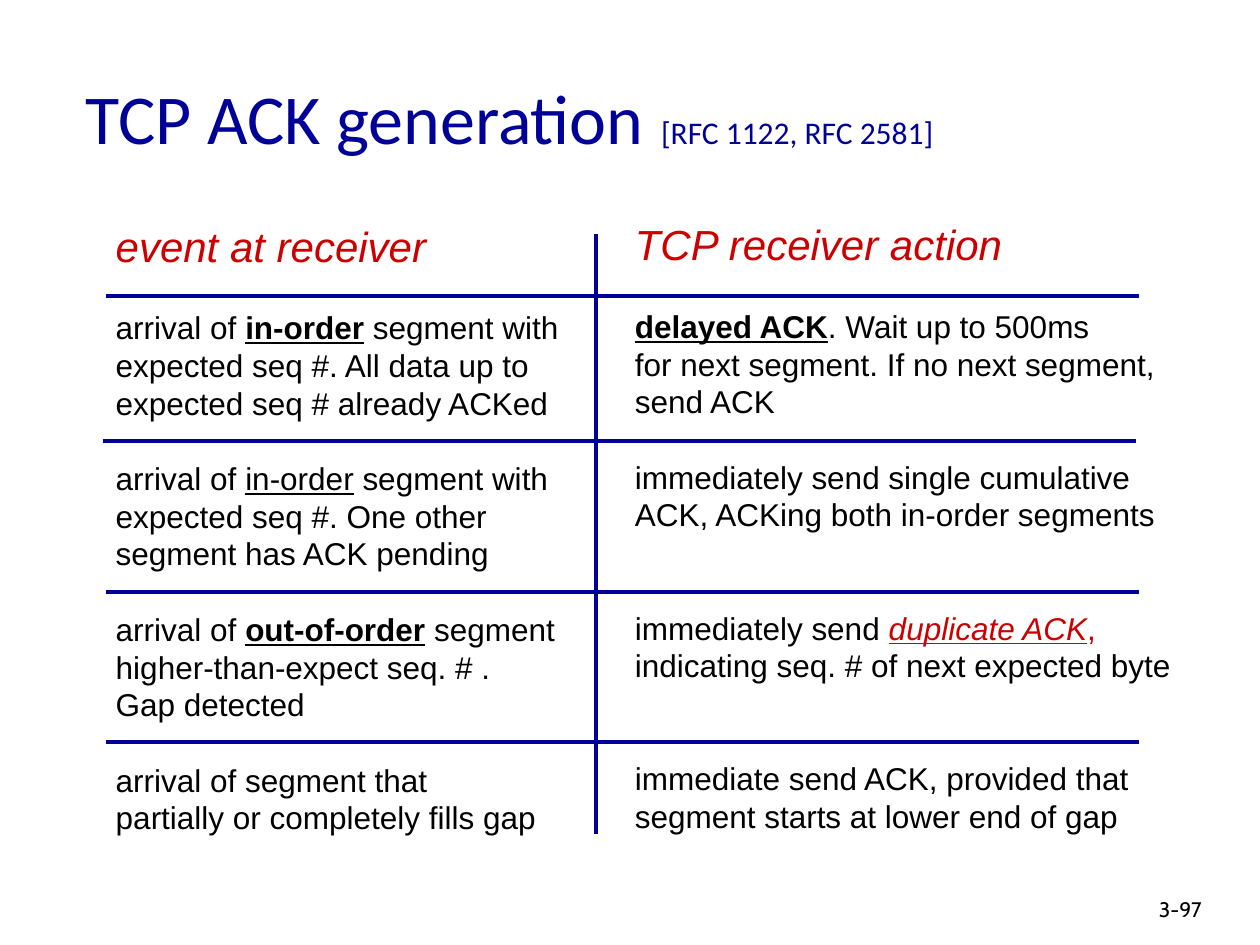
from lxml import etree
from pptx import Presentation
from pptx.dml.color import RGBColor
from pptx.enum.shapes import MSO_CONNECTOR
from pptx.enum.text import MSO_ANCHOR
from pptx.oxml.ns import qn
from pptx.util import Inches, Pt

STRAIGHT = MSO_CONNECTOR.STRAIGHT
TOP, MIDDLE = MSO_ANCHOR.TOP, MSO_ANCHOR.MIDDLE
NAVY, RED, BLACK = "000099", "CC0000", "000000"
LINE_FACTOR = 1.197
BODY_SIZE = 18

BODY = {"size": Pt(BODY_SIZE), "name": "Arial", "color": BLACK}
HEADING = {"size": Pt(24), "name": "Arial", "color": RED, "italic": True}
UNDERLINED = {"underline": True}
STRONG = {"bold": True, "underline": True}
ALERT = {"color": RED, "italic": True, "underline": True}

# Each row is (blank lines above it, its lines); a line is a list of (text, format).
EVENTS = [
    (1, [[("arrival of ", {}), ("in-order", STRONG), (" segment with", {})],
         [("expected seq #. All data up to", {})],
         [("expected seq # already ACKed", {})]]),
    (1, [[("arrival of ", {}), ("in-order", UNDERLINED), (" segment with", {})],
         [("expected seq #. One other", {})],
         [("segment has ACK pending", {})]]),
    (1, [[("arrival of ", {}), ("out-of-order", STRONG), (" segment", {})],
         [("higher-than-expect seq. # .", {})],
         [("Gap detected", {})]]),
    (1, [[("arrival of segment that", {})],
         [("partially or completely fills gap", {})]]),
]
ACTIONS = [
    (1, [[("delayed ACK", STRONG), (". Wait up to 500ms", {})],
         [("for next segment. If no next segment,", {})],
         [("send ACK", {})]]),
    (1, [[("immediately send single cumulative", {})],
         [("ACK, ACKing both in-order segments", {})]]),
    (2, [[("immediately send ", {}), ("duplicate ACK", ALERT), (",", {"color": RED})],
         [("indicating seq. # of next expected byte", {})]]),
    (2, [[("immediate send ACK, provided that", {})],
         [("segment starts at lower end of gap", {})]]),
]


def rgb(hex_color):
    return RGBColor.from_string(hex_color)


def add_text_frame(slide, box, anchor=TOP, wrap=True):
    frame = slide.shapes.add_textbox(*map(Inches, box)).text_frame
    frame.word_wrap = wrap
    frame.vertical_anchor = anchor
    return frame


def add_runs(paragraph, segments, base):
    for text, changes in segments:
        run = paragraph.add_run()
        run.text = text
        for key, value in {**base, **changes}.items():
            if key == "color":
                run.font.color.rgb = rgb(value)
            else:
                setattr(run.font, key, value)


def add_title(slide, box):
    paragraph = add_text_frame(slide, box, MIDDLE).paragraphs[0]
    segments = [("TCP ACK generation", {}),
                (" ", {"size": Pt(44)}),
                ("[RFC 1122, RFC 2581]", {"size": Pt(18)})]
    add_runs(paragraph, segments, {"size": Pt(40), "name": "Calibri", "color": NAVY})


def add_page_number(slide, box):
    paragraph = add_text_frame(slide, box).paragraphs[0]
    add_runs(paragraph, [("3-97", {})], {"size": Pt(12), "name": "Cabin", "color": BLACK})


def add_column(slide, box, heading, rows):
    frame = add_text_frame(slide, box, wrap=False)
    heading_line = frame.paragraphs[0]
    heading_line.line_spacing = Pt(HEADING["size"].pt * LINE_FACTOR)
    add_runs(heading_line, [(heading, {})], HEADING)
    line_height = BODY_SIZE * LINE_FACTOR
    for blank_lines, lines in rows:
        for index, segments in enumerate(lines):
            paragraph = frame.add_paragraph()
            paragraph.line_spacing = Pt(line_height)
            paragraph.space_before = Pt(0 if index else blank_lines * line_height)
            add_runs(paragraph, segments, BODY)


def add_rule(slide, x1, y1, x2, y2):
    rule = slide.shapes.add_connector(STRAIGHT, *map(Inches, (x1, y1, x2, y2)))
    rule.line.color.rgb = rgb(NAVY)
    rule.line.width = Pt(2.25)
    etree.SubElement(rule._element.spPr, qn("a:effectLst"))


def add_grid(slide, box, divider_x, row_rules):
    """Draw the column divider and one rule per (left, top) pair."""
    left, top, width, height = box
    add_rule(slide, divider_x, top, divider_x, top + height)
    for rule_left, rule_y in row_rules:
        add_rule(slide, rule_left, rule_y, rule_left + width, rule_y)


def main():
    deck = Presentation()
    deck.slide_width, deck.slide_height = Inches(10), Inches(7.5)
    slide = deck.slides.add_slide(deck.slide_layouts[6])
    add_title(slide, (0.58, 0.28, 8.5, 1.25))
    add_page_number(slide, (9.1, 7.07, 0.74, 0.3))
    add_column(slide, (0.82, 1.7, 3.75, 5.52), "event at receiver", EVENTS)
    add_column(slide, (4.94, 1.69, 4.45, 5.47), "TCP receiver action", ACTIONS)
    add_grid(slide, (0.84, 1.86, 8.2, 4.76), 4.73,
             [(0.84, 2.35), (0.82, 3.5), (0.84, 4.7), (0.84, 5.89)])
    deck.save("out.pptx")


if __name__ == "__main__":
    main()
